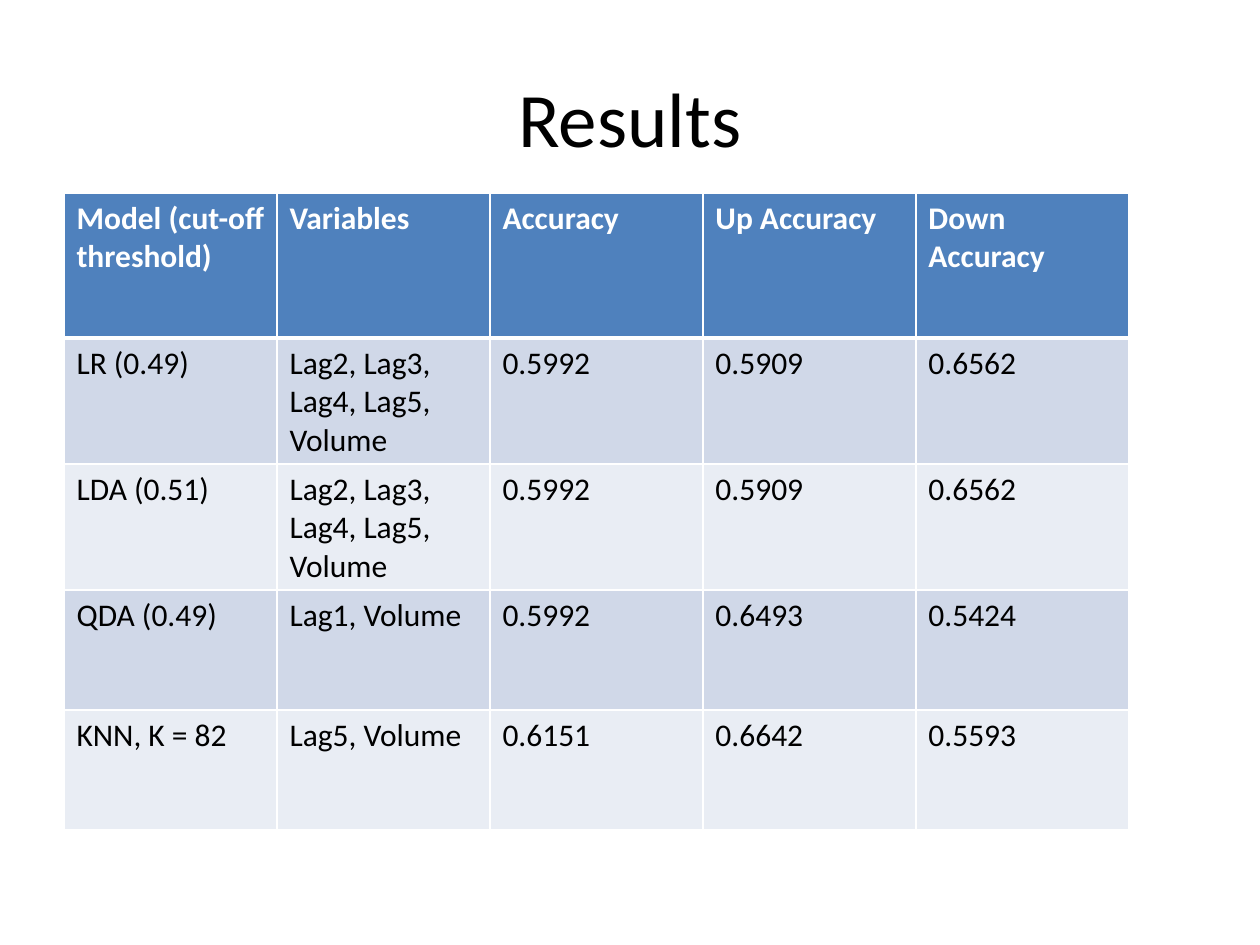
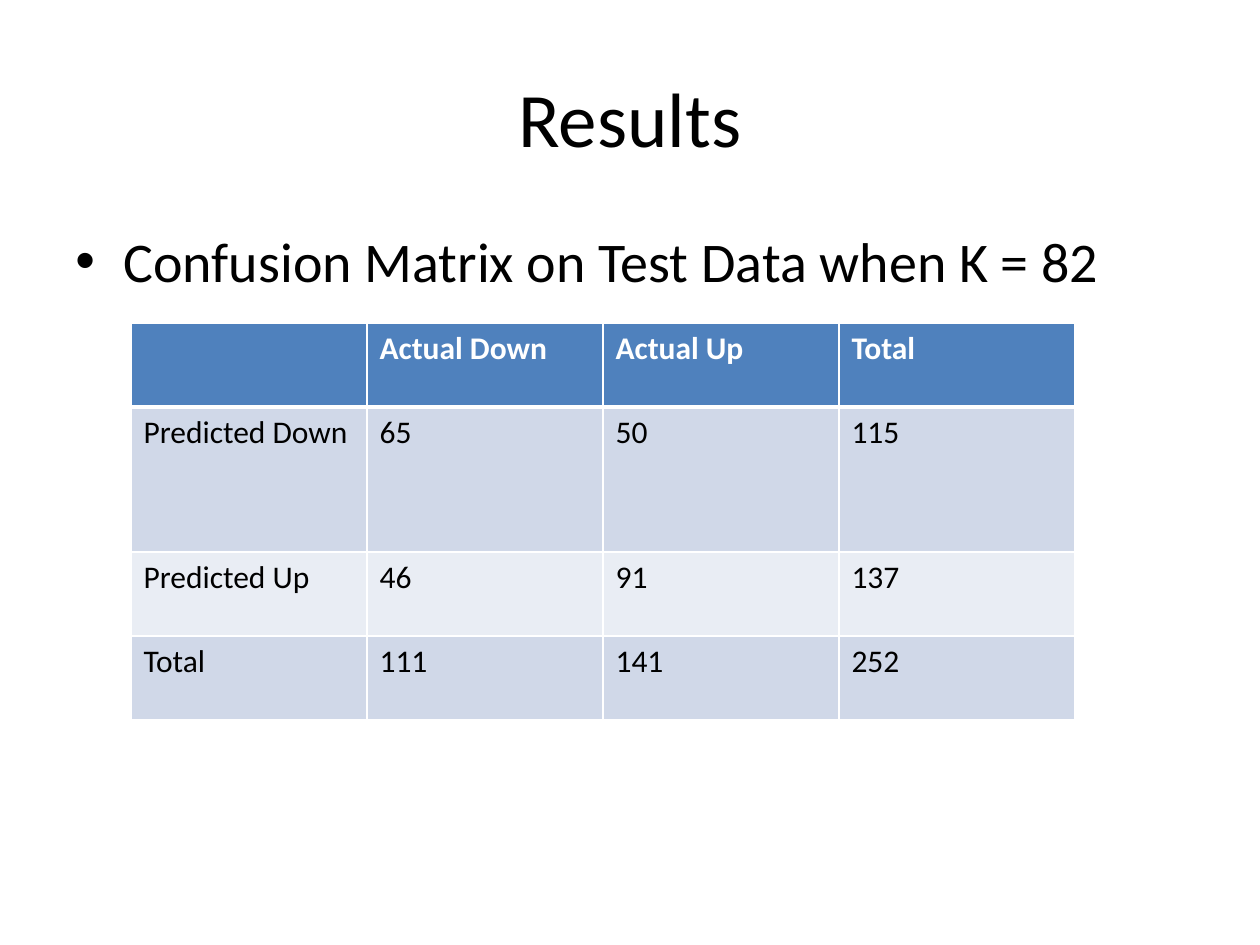
from lxml import etree
from pptx import Presentation
from pptx.dml.color import RGBColor
from pptx.enum.text import MSO_ANCHOR, PP_ALIGN
from pptx.oxml.ns import qn
from pptx.util import Pt

CENTER = PP_ALIGN.CENTER
MIDDLE = MSO_ANCHOR.MIDDLE
EMU_PER_PX = 914400 / 126
FONT = "Calibri"
COLORS = {"text": "000000", "line": "FFFFFF", "header": "4F81BD",
          "header_text": "FFFFFF", "odd_row": "D0D8E8", "even_row": "E9EDF4"}
BLANK_LAYOUT = 6
MARGIN, CONTENT_WIDTH = 63, 1134
BULLET_INDENT = 48

pages = [
    {
        "title": "Results",
        "bullet": None,
        "table_at": (64, 193),
        "column_width": 213,
        "row_heights": [145, 120, 120, 120, 120],
        "rows": [
            ["Model (cut-off threshold)", "Variables", "Accuracy", "Up Accuracy", "Down Accuracy"],
            ["LR (0.49)", "Lag2, Lag3, Lag4, Lag5, Volume", "0.5992", "0.5909", "0.6562"],
            ["LDA (0.51)", "Lag2, Lag3, Lag4, Lag5, Volume", "0.5992", "0.5909", "0.6562"],
            ["QDA (0.49)", "Lag1, Volume", "0.5992", "0.6493", "0.5424"],
            ["KNN, K = 82", "Lag5, Volume", "0.6151", "0.6642", "0.5593"],
        ],
    },
    {
        "title": "Results",
        "bullet": "Confusion Matrix on Test Data when K = 82",
        "table_at": (131, 323),
        "column_width": 236,
        "row_heights": [84, 145, 84, 84],
        "rows": [
            ["", "Actual Down", "Actual Up", "Total"],
            ["Predicted Down", "65", "50", "115"],
            ["Predicted Up", "46", "91", "137"],
            ["Total", "111", "141", "252"],
        ],
    },
]


def px(length):
    """Turn a length in px into EMU."""
    return round(length * EMU_PER_PX)


def write(frame, text, size, color, bold=False):
    """Fill a text frame with one formatted paragraph and return it."""
    frame.word_wrap = True
    para = frame.paragraphs[0]
    para.text = text
    para.font.size = Pt(size)
    for span in para.runs:
        span.font.name = FONT
        span.font.size = Pt(size)
        span.font.bold = bold
        span.font.color.rgb = RGBColor.from_string(COLORS[color])
    return para


deck = Presentation()
deck.slide_width, deck.slide_height = px(1260), px(945)

for page in pages:
    slide = deck.slides.add_slide(deck.slide_layouts[BLANK_LAYOUT])

    title_box = slide.shapes.add_textbox(px(MARGIN), px(38), px(CONTENT_WIDTH), px(157))
    title_box.text_frame.vertical_anchor = MIDDLE
    write(title_box.text_frame, page["title"], 44, "text").alignment = CENTER

    if page["bullet"]:
        body_box = slide.shapes.add_textbox(px(MARGIN), px(220), px(CONTENT_WIDTH), px(624))
        para = write(body_box.text_frame, page["bullet"], 32, "text")
        para.space_before = Pt(6.4)
        settings = para._p.get_or_add_pPr()
        settings.set("marL", str(px(BULLET_INDENT)))
        settings.set("indent", str(-px(BULLET_INDENT)))
        etree.SubElement(settings, qn("a:buFont"), typeface="Arial")
        etree.SubElement(settings, qn("a:buChar"), char="•")

    rows, heights = page["rows"], page["row_heights"]
    left, top = page["table_at"]
    column_count = len(rows[0])
    table = slide.shapes.add_table(
        len(rows), column_count, px(left), px(top),
        px(page["column_width"] * column_count), px(sum(heights))).table
    for column in table.columns:
        column.width = px(page["column_width"])

    for row_index, row in enumerate(rows):
        table.rows[row_index].height = px(heights[row_index])
        is_header = row_index == 0
        if is_header:
            fill, text_color = "header", "header_text"
        else:
            fill, text_color = ("odd_row" if row_index % 2 else "even_row"), "text"
        border_widths = {"L": 1, "R": 1, "T": 3 if row_index == 1 else 1,
                         "B": 3 if is_header else 1}

        for column_index, text in enumerate(row):
            cell = table.cell(row_index, column_index)
            write(cell.text_frame, text, 18, text_color, bold=is_header)
            # Borders must come before the fill in the cell properties.
            properties = cell._tc.get_or_add_tcPr()
            for side, width in border_widths.items():
                border = etree.SubElement(properties, qn(f"a:ln{side}"), w=str(Pt(width)))
                paint = etree.SubElement(border, qn("a:solidFill"))
                etree.SubElement(paint, qn("a:srgbClr"), val=COLORS["line"])
            cell.fill.solid()
            cell.fill.fore_color.rgb = RGBColor.from_string(COLORS[fill])

deck.save("out.pptx")
